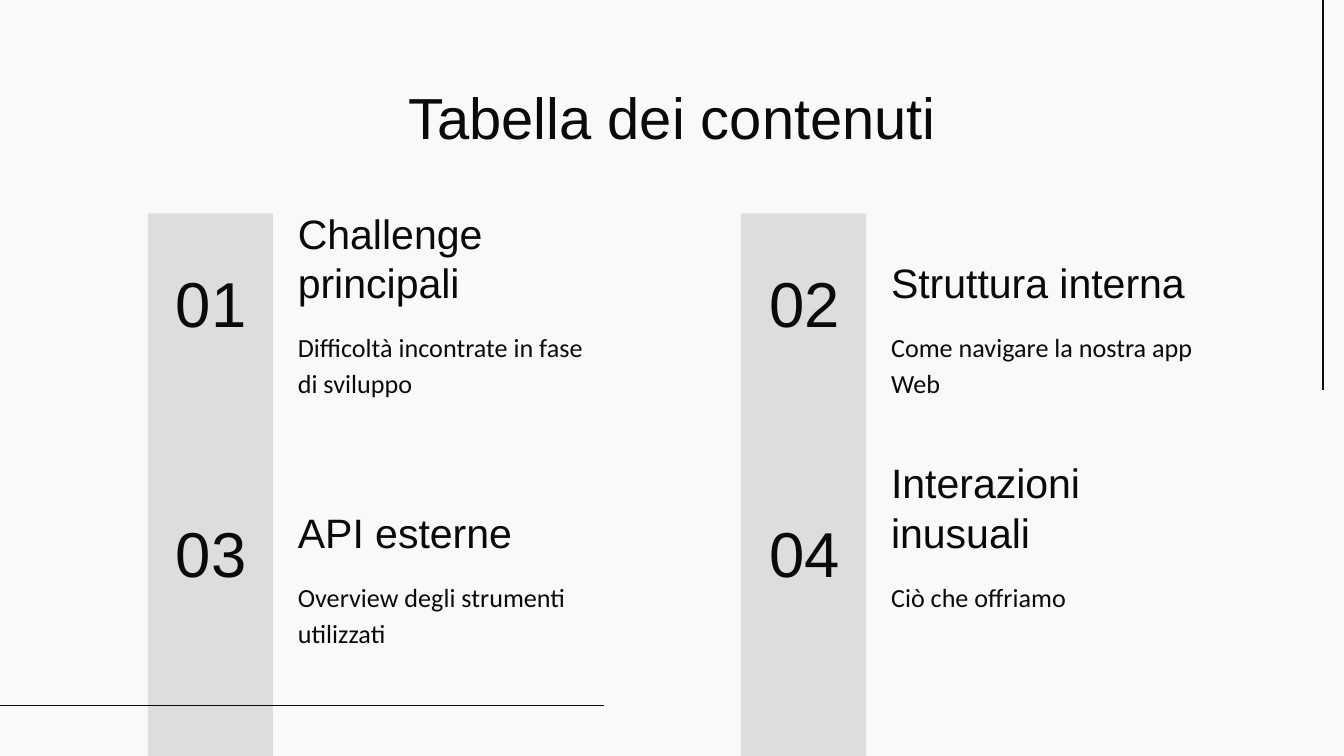
"""Build the table of contents slide with four numbered topics in two columns."""
import pptx
import pptx.dml.color
import pptx.enum.shapes
import pptx.enum.text
import pptx.oxml
import pptx.util

Pt = pptx.util.Pt
ALIGN = pptx.enum.text.PP_ALIGN
ANCHOR = pptx.enum.text.MSO_ANCHOR

HEADLINE = "Tabella dei contenuti"
TOPICS = [
    ("01", "Challenge principali", "Difficoltà incontrate in fase di sviluppo"),
    ("02", "Struttura interna", "Come navigare la nostra app Web"),
    ("03", "API esterne", "Overview degli strumenti utilizzati"),
    ("04", "Interazioni inusuali", "Ciò che offriamo"),
]
RULES = [(708.7, 209, 708.7, 0), (0, 377.9, 323.5, 377.9)]

INK, PAPER, BAND = "0A0A0A", "F9F9F9", "DDDDDD"
WIDTH, HEIGHT = 720, 405
COLUMNS = 2
COLUMN_STEP, ROW_STEP = 317.8, 133.8
BAND_LEFT, BAND_TOP, BAND_WIDTH = 79.2, 114.3, 67
NUMBER_LEFT, NUMBER_TOP = 78.7, 116.8
TEXT_LEFT, TEXT_WIDTH = 152.5, 180
HEADING_TOP, DETAIL_TOP = 108, 167.8


def color(value):
    return pptx.dml.color.RGBColor.from_string(value)


def add_text(slide, words, left, top, width, height, size, font="Arial",
             align=ALIGN.LEFT, anchor=ANCHOR.TOP, spacing=1.0):
    box = slide.shapes.add_textbox(Pt(left), Pt(top), Pt(width), Pt(height))
    frame = box.text_frame
    frame.word_wrap = True
    frame.vertical_anchor = anchor
    frame.margin_left = frame.margin_right = Pt(7.2)
    frame.margin_top = frame.margin_bottom = Pt(7.2)
    paragraph = frame.paragraphs[0]
    paragraph.alignment = align
    paragraph.line_spacing = spacing
    run = paragraph.add_run()
    run.text = words
    run.font.size = Pt(size)
    run.font.name = font
    run.font.color.rgb = color(INK)


def add_band(slide, left):
    band = slide.shapes.add_shape(
        pptx.enum.shapes.MSO_SHAPE.RECTANGLE,
        Pt(left), Pt(BAND_TOP), Pt(BAND_WIDTH), Pt(HEIGHT - BAND_TOP))
    band.shadow.inherit = False
    band.fill.solid()
    band.fill.fore_color.rgb = color(BAND)
    band.line.fill.background()


def add_rule(slide, ends):
    rule = slide.shapes.add_connector(
        pptx.enum.shapes.MSO_CONNECTOR.STRAIGHT, *map(Pt, ends))
    rule.line.color.rgb = color(INK)
    rule.line.width = Pt(0.75)
    properties = rule._element.spPr
    properties.append(properties.makeelement(pptx.oxml.ns.qn("a:effectLst"), {}))


def add_topic(slide, index, number, heading, detail):
    row, column = divmod(index, COLUMNS)
    across, down = column * COLUMN_STEP, row * ROW_STEP
    add_text(slide, detail, TEXT_LEFT + across, DETAIL_TOP + down,
             TEXT_WIDTH, 51, 14, font="Calibri", spacing=1.15)
    add_text(slide, heading, TEXT_LEFT + across, HEADING_TOP + down,
             TEXT_WIDTH, 63.4, 22, anchor=ANCHOR.BOTTOM)
    add_text(slide, number, NUMBER_LEFT + across, NUMBER_TOP + down,
             69, 90.7, 34, align=ALIGN.CENTER, anchor=ANCHOR.MIDDLE)


def main():
    deck = pptx.Presentation()
    deck.slide_width, deck.slide_height = Pt(WIDTH), Pt(HEIGHT)
    slide = deck.slides.add_slide(deck.slide_layouts[6])
    slide.background.fill.solid()
    slide.background.fill.fore_color.rgb = color(PAPER)
    for column in range(COLUMNS):
        add_band(slide, BAND_LEFT + column * COLUMN_STEP)
    for ends in RULES:
        add_rule(slide, ends)
    add_text(slide, HEADLINE, 56.2, 36.7, 607.6, 43.2, 31, align=ALIGN.CENTER)
    for index, topic in enumerate(TOPICS):
        add_topic(slide, index, *topic)
    deck.save("out.pptx")


if __name__ == "__main__":
    main()
